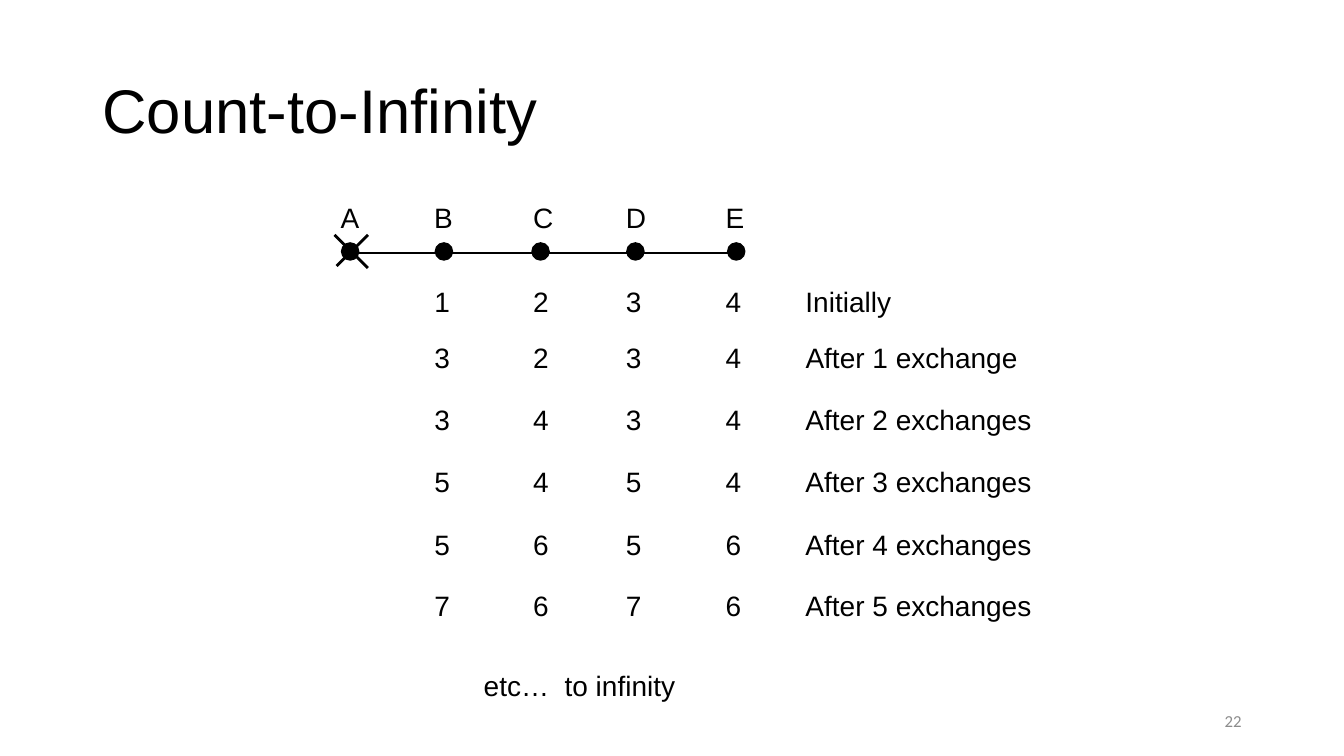
from lxml.etree import SubElement
from pptx import Presentation
from pptx.dml.color import RGBColor
from pptx.enum.shapes import MSO_CONNECTOR, MSO_SHAPE
from pptx.enum.text import MSO_ANCHOR, PP_ALIGN
from pptx.oxml.ns import qn
from pptx.util import Pt

BLACK = RGBColor(0, 0, 0)
GREY = RGBColor(0x8C, 0x8C, 0x8C)
TITLE_ONLY = 5
ROW_HEIGHT = 31.5
DIGIT_WIDTH = 26
DOT_SIZE = 12.25
DOT_TOP = 173.5
LINK_Y = 180.7

deck = Presentation()
deck.slide_width, deck.slide_height = Pt(960), Pt(540)
slide = deck.slides.add_slide(deck.slide_layouts[TITLE_ONLY])


def put_text(text, left, top, width, height=ROW_HEIGHT, holder=None, size=20,
             font="Arial", color=BLACK, align=PP_ALIGN.LEFT,
             anchor=MSO_ANCHOR.TOP, wrap=False, spacing=1.0):
    """Place formatted text in a new text box or in the given placeholder."""
    place = Pt(left), Pt(top), Pt(width), Pt(height)
    if holder is None:
        holder = slide.shapes.add_textbox(*place)
    holder.left, holder.top, holder.width, holder.height = place
    frame = holder.text_frame
    frame.word_wrap = wrap
    frame.vertical_anchor = anchor
    paragraph = frame.paragraphs[0]
    paragraph.alignment = align
    paragraph.line_spacing = spacing
    run = paragraph.add_run()
    run.text = text
    run.font.size, run.font.name = Pt(size), font
    run.font.color.rgb = color


def draw_line(x1, y1, x2, y2):
    """Draw a straight black line without a shadow."""
    line = slide.shapes.add_connector(
        MSO_CONNECTOR.STRAIGHT, Pt(x1), Pt(y1), Pt(x2), Pt(y2))
    line.line.color.rgb = BLACK
    line.line.width = Pt(2)
    SubElement(line._element.spPr, qn("a:effectLst"))


put_text("22", 678, 500.5, 216, 28.75, size=12, font="Calibri", color=GREY,
         align=PP_ALIGN.RIGHT, anchor=MSO_ANCHOR.MIDDLE, wrap=True)
put_text("Count-to-Infinity", 66, 28.75, 828, 104.4, holder=slide.shapes.title,
         size=44, anchor=MSO_ANCHOR.MIDDLE, wrap=True, spacing=0.9)

# Chain of nodes: name, text left, text width, dot left
nodes = [
    ("A", 236.2, 28, 244),
    ("B", 303.1, 28, 311),
    ("C", 373.7, 29.5, 380),
    ("D", 440, 29.5, 447.8),
    ("E", 511.2, 28, 519.8),
]
draw_line(246.2, LINK_Y, 528.5, LINK_Y)
for name, text_left, text_width, dot_left in nodes:
    dot = slide.shapes.add_shape(
        MSO_SHAPE.OVAL, Pt(dot_left), Pt(DOT_TOP), Pt(DOT_SIZE), Pt(DOT_SIZE))
    dot.shadow.inherit = False
    dot.fill.solid()
    dot.fill.fore_color.rgb = BLACK
    dot.line.color.rgb = BLACK
    dot.line.width = Pt(1)
    put_text(name, text_left, 139.7, text_width)

# Cross over the failed node A
draw_line(239, 167.8, 262.8, 191.5)
draw_line(262.8, 167.8, 240.5, 190)

# Distances to A held by B to E: row top, distances, caption, caption width
rounds = [
    (199.4, "1234", "Initially", 76.3),
    (239.8, "3234", "After 1 exchange", 167),
    (284.1, "3434", "After 2 exchanges", 177),
    (327.9, "5454", "After 3 exchanges", 177),
    (372.9, "5656", "After 4 exchanges", 177),
    (416.6, "7676", "After 5 exchanges", 177),
]
for row_top, distances, caption, caption_width in rounds:
    for distance, (_, text_left, _, _) in zip(distances, nodes[1:]):
        put_text(distance, text_left, row_top, DIGIT_WIDTH)
    put_text(caption, 568.3, row_top, caption_width)

put_text("etc…  to infinity", 338.4, 473.8, 152.6)

deck.save("out.pptx")
